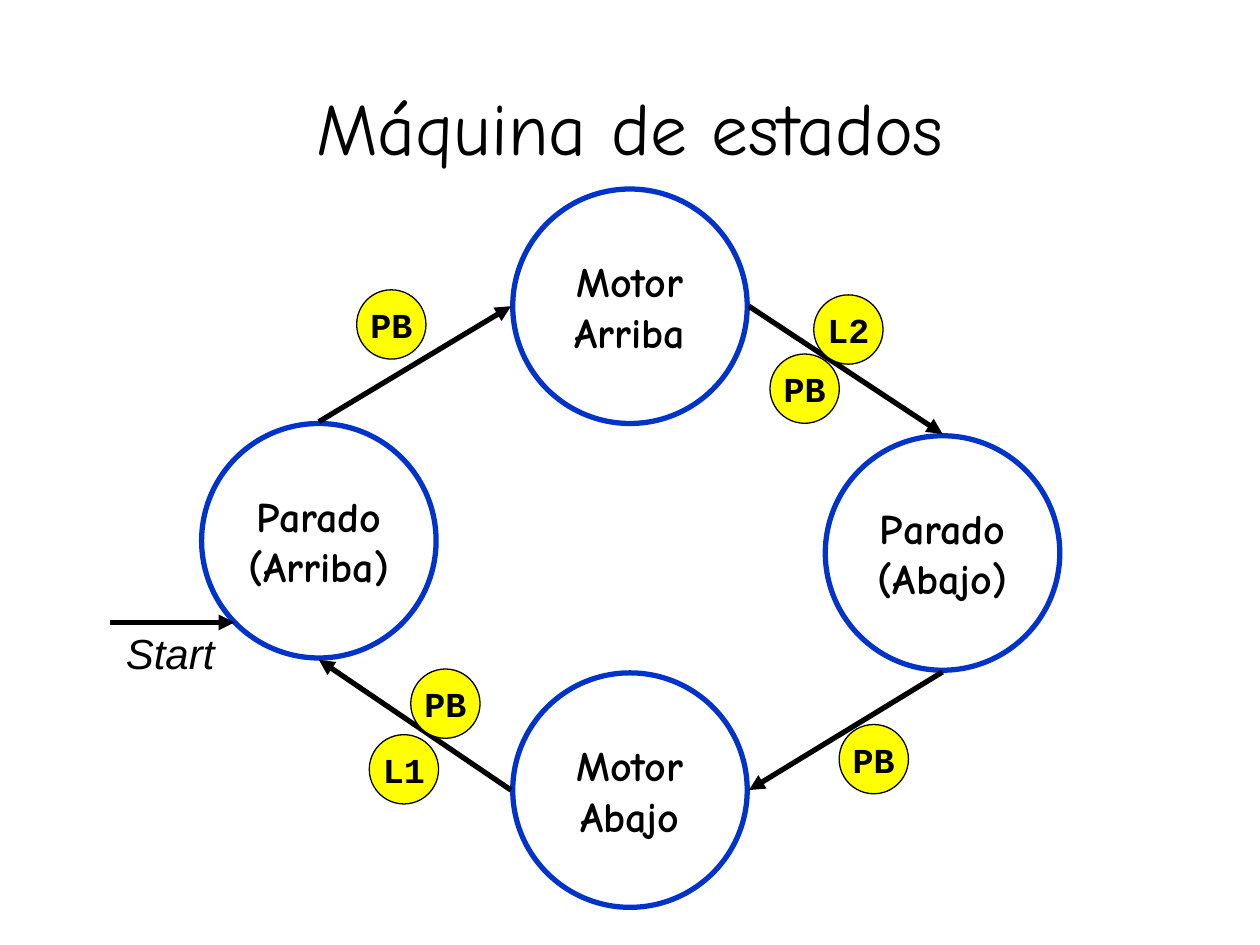
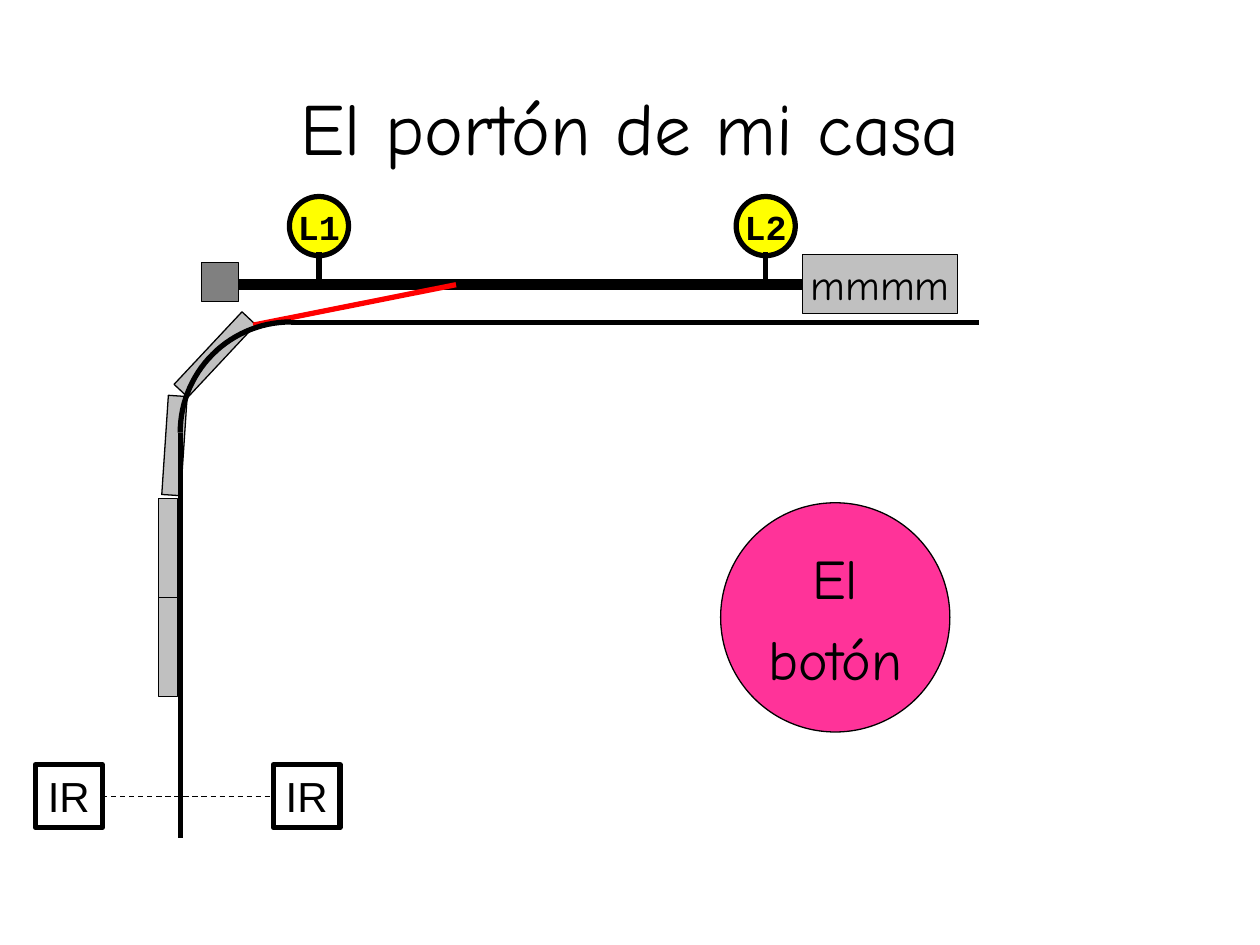
from math import cos, pi, sin

from lxml import etree
from pptx import Presentation
from pptx.dml.color import RGBColor
from pptx.enum.dml import MSO_LINE
from pptx.enum.shapes import MSO_CONNECTOR, MSO_SHAPE
from pptx.enum.text import MSO_ANCHOR, PP_ALIGN
from pptx.oxml.ns import qn
from pptx.util import Pt

OVAL, RECT = MSO_SHAPE.OVAL, MSO_SHAPE.RECTANGLE
HAND, MONO, SANS = "Comic Neue", "Courier New", "Arial"
BLACK, BLUE, YELLOW, RED = "000000", "0033CC", "FFFF00", "FF0000"
SILVER, GREY, PINK = "C0C0C0", "808080", "FF3399"

# Slide 1: state machine
STATES_TITLE = "Máquina de estados"
STATE_D, BADGE_D = 134, 39.6
STATES = {  # name: (lines, left, top)
    "up": (["Motor", "Arriba"], 293, 108),
    "down": (["Motor", "Abajo"], 293, 384.5),
    "open": (["Parado", "(Arriba)"], 115.2, 242),
    "closed": (["Parado", "(Abajo)"], 471.6, 249),
}
TRANSITIONS = [  # from state, side, to state, side
    ("up", "right", "closed", "top"),
    ("closed", "bottom", "down", "right"),
    ("down", "left", "open", "bottom"),
    ("open", "top", "up", "left"),
]
SIDES = {"top": (0, -1), "bottom": (0, 1), "left": (-1, 0), "right": (1, 0)}
EVENTS = [
    ("L2", 465, 168.5), ("PB", 479.5, 414), ("L1", 211, 419.8),
    ("PB", 203.8, 165.6), ("PB", 440, 202.3), ("PB", 234.7, 382.3),
]

# Slide 2: garage door
DOOR_TITLE = "El portón de mi casa"
PANEL_W, PANEL_H = 10.8, 56.8
PANELS = [  # left, top, rotation
    (117.4, 174.2, 43.1), (90.7, 341.3, 0), (90.7, 284.8, 0), (94.3, 226.2, 3.8),
]
LIMITS = [("L1", 182.3), ("L2", 437.6)]  # name, centre x
LIMIT_D, LIMIT_TOP = 33.8, 112.3
TRACK_X, TRACK_Y, BEND_R = 103, 184, 63.2
SENSOR_W, SENSOR_H, SENSOR_TOP = 38.2, 36, 437
SENSOR_LEFTS = (20.2, 156.2)


def rgb(hex_code):
    return RGBColor.from_string(hex_code)


def write(tf, lines, size, font, bold=False, italic=False, gap=0, align=PP_ALIGN.CENTER):
    for i, text in enumerate(lines):
        p = tf.paragraphs[0] if i == 0 else tf.add_paragraph()
        p.text = text
        p.alignment = align
        p.space_before = Pt(gap if i else 0)
        f = p.font
        f.size, f.name, f.bold, f.italic = Pt(size), font, bold, italic
        f.color.rgb = rgb(BLACK)


def outline(sp, color, width):
    sp.line.color.rgb = rgb(color)
    sp.line.width = Pt(width)


def add_box(s, kind, x, y, w, h, fill=None, color=BLACK, width=0.75):
    sp = s.shapes.add_shape(kind, Pt(x), Pt(y), Pt(w), Pt(h))
    sp.shadow.inherit = False
    if fill:
        sp.fill.solid()
        sp.fill.fore_color.rgb = rgb(fill)
    else:
        sp.fill.background()
    outline(sp, color, width)
    sp.text_frame.word_wrap = False
    sp.text_frame.vertical_anchor = MSO_ANCHOR.MIDDLE
    return sp


def add_line(s, start, end, color=BLACK, width=3, arrow=False):
    c = s.shapes.add_connector(MSO_CONNECTOR.STRAIGHT, *(Pt(v) for v in (*start, *end)))
    outline(c, color, width)
    if arrow:
        etree.SubElement(c.line._get_or_add_ln(), qn("a:tailEnd"), type="triangle")
    etree.SubElement(c._element.spPr, qn("a:effectLst"))
    return c


def add_badge(s, text, x, y, d, width=0.75):
    sp = add_box(s, OVAL, x, y, d, d, YELLOW, width=width)
    write(sp.text_frame, [text], 20, MONO, bold=True)


def add_slide(prs, title):
    s = prs.slides.add_slide(prs.slide_layouts[5])
    t = s.shapes.title
    t.left, t.top, t.width, t.height = Pt(54), Pt(36), Pt(612), Pt(72)
    t.text_frame.vertical_anchor = MSO_ANCHOR.MIDDLE
    write(t.text_frame, [title], 42, HAND)
    return s


def side_point(state, side):
    """Point one point outside the given side of a state circle."""
    _, x, y = STATES[state]
    dx, dy = SIDES[side]
    r = STATE_D / 2
    return x + r + dx * (r + 1), y + r + dy * (r + 1)


def build_states(prs):
    s = add_slide(prs, STATES_TITLE)
    for lines, x, y in STATES.values():
        sp = add_box(s, OVAL, x, y, STATE_D, STATE_D, color=BLUE, width=3)
        write(sp.text_frame, lines, 24, HAND, bold=True)
    for a, a_side, b, b_side in TRANSITIONS:
        add_line(s, side_point(a, a_side), side_point(b, b_side), arrow=True)
    for text, x, y in EVENTS:
        add_badge(s, text, x, y, BADGE_D)

    # Entry arrow
    add_line(s, (62.6, 355.7), (134, 355.7), arrow=True)
    tb = s.shapes.add_textbox(Pt(64.8), Pt(355), Pt(70), Pt(36))
    tb.text_frame.word_wrap = False
    write(tb.text_frame, ["Start"], 24, SANS, italic=True, align=PP_ALIGN.LEFT)


def build_door(prs):
    s = add_slide(prs, DOOR_TITLE)
    for x, y, angle in PANELS:
        add_box(s, RECT, x, y, PANEL_W, PANEL_H, SILVER).rotation = angle

    # Drive rail, motor and pulling arm
    add_line(s, (136.8, 162.7), (546.5, 162.7), width=6)
    motor = add_box(s, RECT, 458.6, 145.4, 88.6, 33.8, SILVER)
    write(motor.text_frame, ["mmmm"], 24, HAND)
    add_line(s, (144.7, 185.8), (260.6, 162.7), RED)
    add_box(s, RECT, 115.2, 150, 21, 22.3, GREY)

    # Button
    button = add_box(s, OVAL, 411.8, 287.3, 131, 131, PINK)
    write(button.text_frame, ["El", "botón"], 32, HAND, gap=8)

    # Limit switches
    for text, x in LIMITS:
        add_badge(s, text, x - LIMIT_D / 2, LIMIT_TOP, LIMIT_D, width=3)
        add_line(s, (x, 144), (x, 165))

    # Track: quarter bend between two straight runs
    cx, cy = TRACK_X + BEND_R, TRACK_Y + BEND_R
    steps = 30
    angles = [pi / 2 * i / steps for i in range(steps + 1)]
    points = [(Pt(cx - BEND_R * cos(a)), Pt(cy - BEND_R * sin(a))) for a in angles]
    fb = s.shapes.build_freeform(*points[0])
    fb.add_line_segments(points[1:], close=False)
    bend = fb.convert_to_shape()
    bend.shadow.inherit = False
    bend.fill.background()
    outline(bend, BLACK, 3)
    add_line(s, (cx, TRACK_Y + 0.5), (559.4, TRACK_Y + 0.5))
    add_line(s, (TRACK_X, cy), (TRACK_X, 478.8))

    # Infrared barrier
    sensors = [add_box(s, RECT, x, SENSOR_TOP, SENSOR_W, SENSOR_H, width=3)
               for x in SENSOR_LEFTS]
    for sp in sensors:
        write(sp.text_frame, ["IR"], 24, SANS)
    beam = add_line(s, (0, 0), (1, 1), width=0.75)
    beam.begin_connect(sensors[0], 3)
    beam.end_connect(sensors[1], 1)
    beam.line.dash_style = MSO_LINE.DASH


def main():
    prs = Presentation()
    prs.slide_width, prs.slide_height = Pt(720), Pt(540)
    build_states(prs)
    build_door(prs)
    prs.save("out.pptx")


if __name__ == "__main__":
    main()
